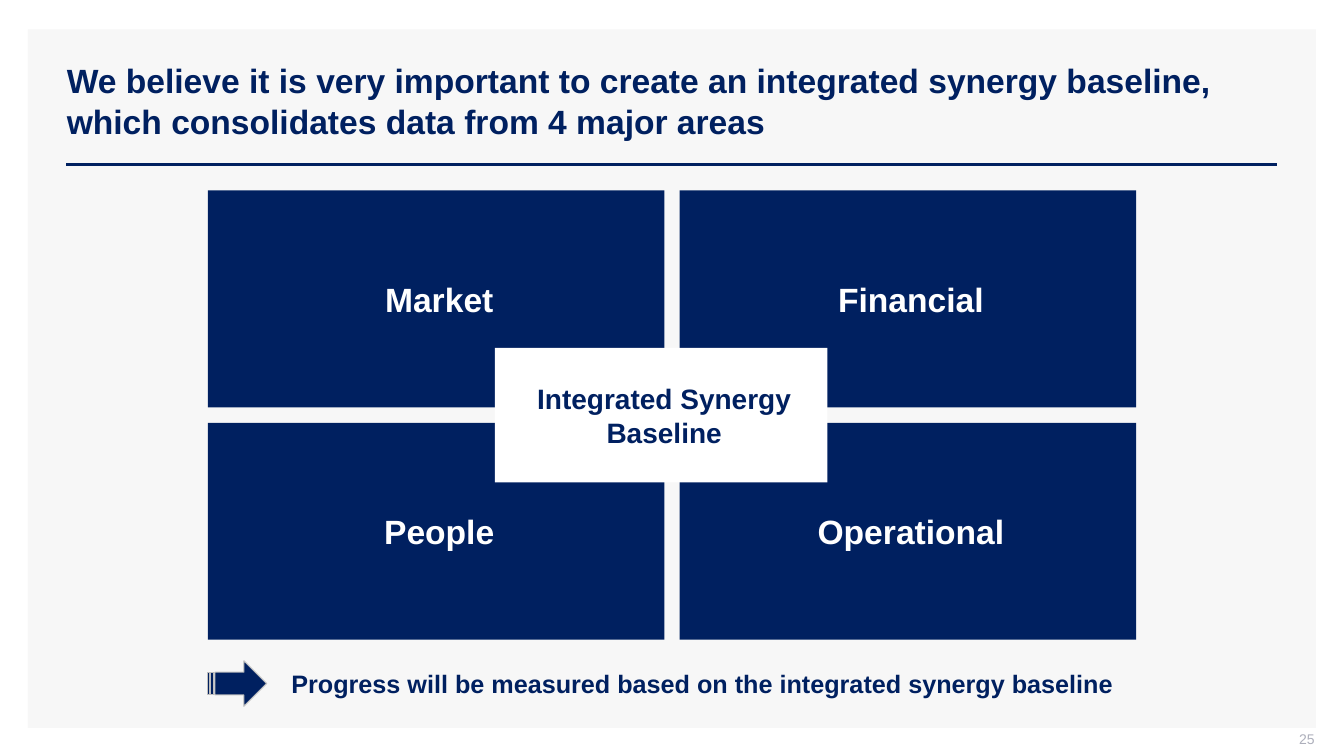
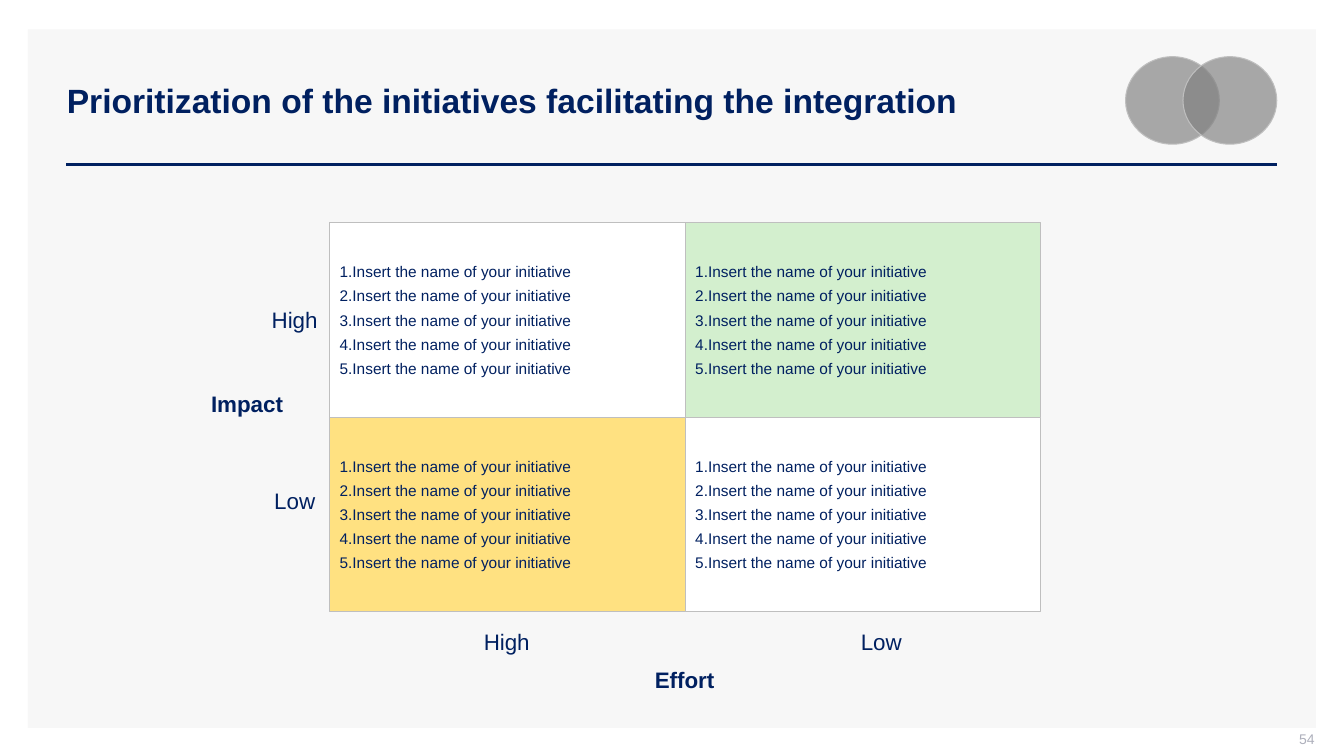
from pptx import Presentation
from pptx.dml.color import RGBColor
from pptx.enum.shapes import MSO_CONNECTOR, MSO_SHAPE
from pptx.enum.text import MSO_ANCHOR, MSO_AUTO_SIZE, PP_ALIGN
from pptx.oxml.ns import qn
from pptx.util import Pt
from lxml.etree import SubElement

INK = {"navy": "002060", "white": "FFFFFF", "band": "F7F7F7", "edge": "BFBFBF",
       "page": "ADAFBB", "green": "D3EFCE", "gold": "FFE181", "disc": "808080"}
FONT = "Arial"
LEFT, MID, RIGHT = PP_ALIGN.LEFT, PP_ALIGN.CENTER, PP_ALIGN.RIGHT

BASE = {
    "title": "We believe it is very important to create an integrated synergy "
             "baseline, which consolidates data from 4 major areas",
    "page": "25",
    "areas": ["Market", "Financial", "People", "Operational"],
    "hub": ["Integrated Synergy", "Baseline"],
    "note": "Progress will be measured based on the integrated synergy baseline",
}
RANK = {
    "title": "Prioritization of the initiatives facilitating the integration",
    "page": "54",
    "fills": ["white", "green", "gold", "white"],
    "items": ["Insert the name of your initiative"] * 5,
    # text, centre x, centre y, bold
    "labels": [("Impact", 176.5, 288.5, True), ("Effort", 489, 485.5, True),
               ("High", 362, 458.5, False), ("Low", 629.5, 458.5, False),
               ("High", 210.5, 228, False), ("Low", 210.5, 357.5, False)],
}


def color(name):
    return RGBColor.from_string(INK[name])


def number(para):
    props = para._p.get_or_add_pPr()
    props.set("marL", str(Pt(8.64)))
    props.set("indent", str(Pt(-8.64)))
    tint = SubElement(props, qn("a:buClr"))
    SubElement(tint, qn("a:srgbClr"), val=INK["navy"])
    SubElement(props, qn("a:buAutoNum"), type="arabicPeriod")


def write(shape, lines, size=16, ink="navy", bold=False, align=MID, wrap=True,
          anchor=MSO_ANCHOR.MIDDLE, pad=(7.2, 3.6, 7.2, 3.6), gap=0, listed=False):
    """Fill a shape with paragraphs; gap is the space above and below each."""
    frame = shape.text_frame
    frame.auto_size = MSO_AUTO_SIZE.NONE
    frame.word_wrap, frame.vertical_anchor = wrap, anchor
    (frame.margin_left, frame.margin_top,
     frame.margin_right, frame.margin_bottom) = map(Pt, pad)
    for i, line in enumerate(lines):
        para = frame.add_paragraph() if i else frame.paragraphs[0]
        if listed:
            number(para)
        para.alignment = align
        para.space_before, para.space_after = Pt(gap if i else 0), Pt(gap)
        run = para.add_run()
        run.text = line
        font = run.font
        font.name, font.size, font.bold = FONT, Pt(size), bold
        font.color.rgb = color(ink)


def box(shapes, area, fill, kind=MSO_SHAPE.RECTANGLE, edge=None):
    shape = shapes.add_shape(kind, *map(Pt, area))
    shape.shadow.inherit = False
    shape.fill.solid()
    shape.fill.fore_color.rgb = color(fill)
    if edge:
        shape.line.color.rgb = color(edge)
        shape.line.width = Pt(0.75)
    else:
        shape.line.fill.background()
    return shape


def label(slide, area, lines, **form):
    write(slide.shapes.add_textbox(*map(Pt, area)), lines, **form)


def cells(left, top, wide, high, gap=0):
    """Areas of a two by two grid, row by row."""
    return [(left + col * (wide + gap), top + row * (high + gap), wide, high)
            for row in range(2) for col in range(2)]


def style(layout, slide):
    """Put the band, the rule and the title place on the layout."""
    band = box(slide.shapes, (20, 21, 920, 499), "band")
    rule = slide.shapes.add_connector(MSO_CONNECTOR.STRAIGHT,
                                      Pt(47.5), Pt(117.5), Pt(912), Pt(117.5))
    rule.line.color.rgb = color("navy")
    rule.line.width = Pt(2)
    SubElement(rule._element.spPr, qn("a:effectLst"))
    tree = layout.shapes._spTree
    for i, part in enumerate((band, rule)):
        tree.insert(2 + i, part._element)
    title = layout.placeholders[0]
    title.left, title.top, title.width, title.height = map(Pt, (40.5, 29, 872, 85.5))


def head(slide, data):
    write(slide.shapes.title, [data["title"]], size=24, bold=True, align=LEFT)
    label(slide, (723, 522, 216, 15), [data["page"]], size=10, ink="page",
          align=RIGHT, pad=(7.2, 0, 0, 3.6))


def base(slide):
    head(slide, BASE)
    tight = (5.8, 1.4, 1.4, 1.4)
    for area, name in zip(cells(148.5, 136, 326, 155, 11), BASE["areas"]):
        write(box(slide.shapes, area, "navy"), [name], size=24, ink="white",
              bold=True, pad=tight)
    hub = box(slide.shapes, (353.5, 248.5, 237.5, 96), "white")
    write(hub, BASE["hub"], size=20, bold=True, pad=tight, wrap=False)
    box(slide.shapes, (148.5, 472, 42, 32.5), "navy",
        MSO_SHAPE.STRIPED_RIGHT_ARROW, "edge")
    label(slide, (201, 474, 611, 29), [BASE["note"]], size=18, bold=True,
          align=LEFT, anchor=MSO_ANCHOR.TOP)


def rank(slide):
    head(slide, RANK)
    for text, x, y, bold in RANK["labels"]:
        label(slide, (x - 40, y - 15, 80, 30), [text], bold=bold)
    for area, fill in zip(cells(235.5, 159, 254, 139), RANK["fills"]):
        write(box(slide.shapes, area, fill, edge="edge"), RANK["items"], size=11,
              align=LEFT, gap=2, listed=True)
    pair = slide.shapes.add_group_shape().shapes
    for x in (804, 845):
        disc = box(pair, (x, 40.5, 67, 62.5), "disc", MSO_SHAPE.OVAL, "edge")
        tint = disc._element.spPr.find(qn("a:solidFill"))[0]
        SubElement(tint, qn("a:alpha"), val="67000")


def main():
    deck = Presentation()
    deck.slide_width, deck.slide_height = Pt(960), Pt(540)
    layout = deck.slide_layouts[5]
    first, second = (deck.slides.add_slide(layout) for _ in range(2))
    style(layout, first)
    base(first)
    rank(second)
    deck.save("out.pptx")


if __name__ == "__main__":
    main()
